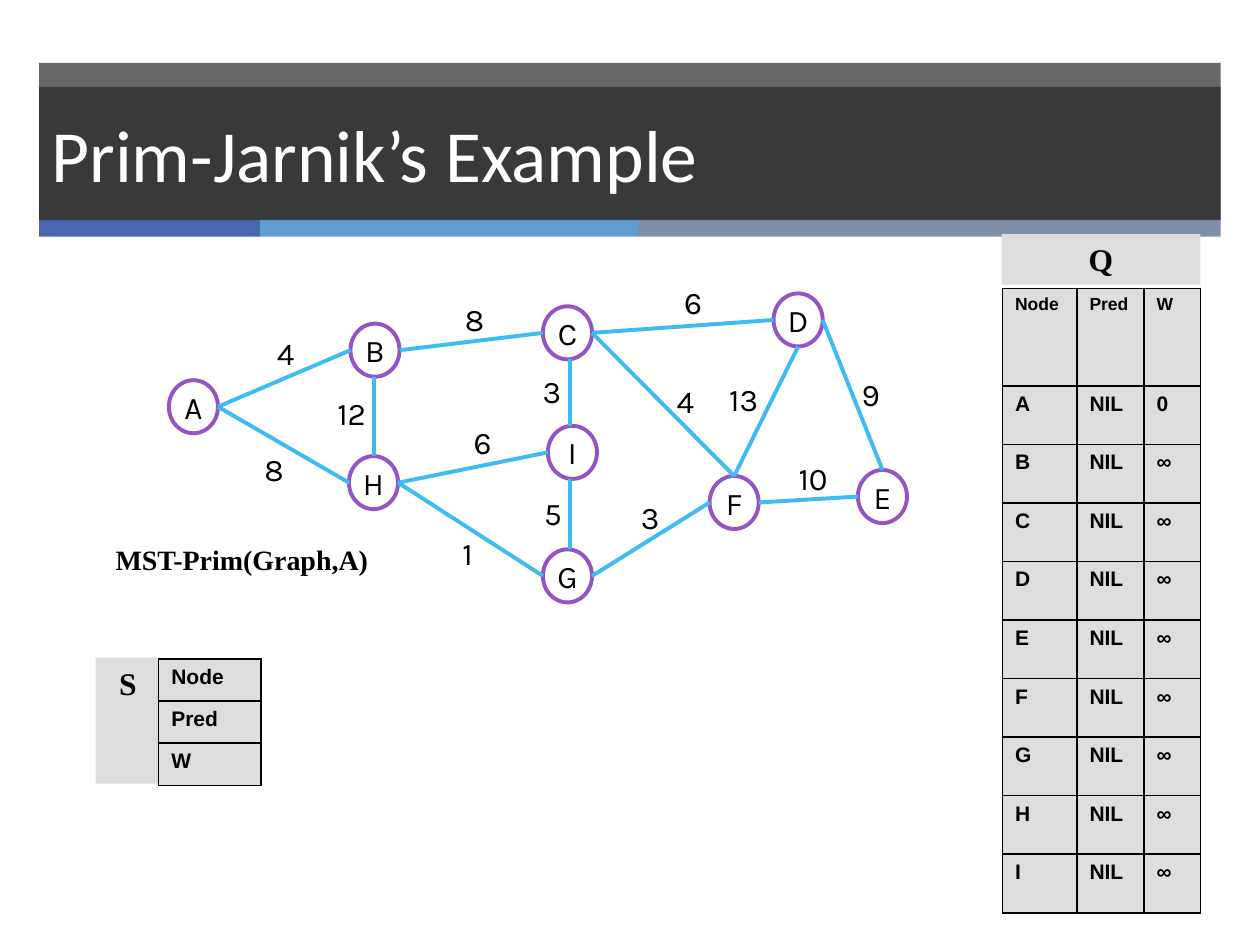
from lxml.etree import SubElement
from pptx import Presentation
from pptx.dml.color import RGBColor
from pptx.enum.shapes import MSO_CONNECTOR as CONN, MSO_SHAPE as SHAPE
from pptx.enum.text import MSO_ANCHOR as ANCHOR, PP_ALIGN as ALIGN
from pptx.oxml.ns import qn
from pptx.util import Cm, Pt

TITLE = "Prim-Jarnik’s Example"
DARK, GREY, PURPLE, BLUE = "262626", "DDDDDD", "9454C3", "3EBBF0"
BLACK, WHITE = "000000", "FFFFFF"
SERIF = "Times New Roman"

STRIPES = [("4A66AC", 4.45), ("629DD1", 7.62), ("7F8FA9", 11.75)]  # colour, width

NODE_W, NODE_H = 0.99, 1.07
NODES = {  # centres in cm
    "A": (3.90, 8.20), "B": (7.56, 7.06), "C": (11.44, 6.71),
    "D": (16.09, 6.45), "E": (17.79, 10.01), "F": (14.80, 10.13),
    "G": (11.44, 11.61), "H": (7.53, 9.73), "I": (11.54, 9.12),
}
SIDES = {"top": (0, -0.5), "left": (-0.5, 0), "bottom": (0, 0.5), "right": (0.5, 0)}
EDGES = [  # node, side, node, side, weight, left and top of the weight
    ("A", "right", "B", "left", "4", 5.33, 6.60),
    ("A", "right", "H", "left", "8", 5.08, 8.94),
    ("B", "bottom", "H", "top", "12", 6.55, 7.82),
    ("B", "right", "C", "left", "8", 9.12, 5.92),
    ("C", "bottom", "I", "top", "3", 10.69, 7.37),
    ("C", "right", "D", "left", "6", 13.54, 5.59),
    ("C", "right", "F", "top", "4", 13.39, 7.57),
    ("D", "bottom", "F", "top", "13", 14.45, 7.54),
    ("D", "right", "E", "top", "9", 17.12, 7.44),
    ("F", "right", "E", "left", "10", 15.85, 9.12),
    ("G", "right", "F", "left", "3", 12.67, 9.91),
    ("H", "right", "G", "left", "1", 9.07, 10.64),
    ("H", "right", "I", "left", "6", 9.30, 8.41),
    ("I", "bottom", "G", "top", "5", 10.72, 9.83),
]
HEADINGS = ["Node", "Pred", "W"]
QUEUE = [HEADINGS] + [[n, "NIL", "0" if n == "A" else "∞"] for n in NODES]
VISITED = [[h] for h in HEADINGS]


def rgb(hex_color):
    return RGBColor.from_string(hex_color)


def write(tf, text, size, font, color=BLACK, bold=False, align=ALIGN.LEFT):
    tf.text = text
    p = tf.paragraphs[0]
    p.alignment = align
    f = p.runs[0].font
    f.size, f.name, f.bold = Pt(size), font, bold
    f.color.rgb = rgb(color)


def add_shape(kind, x, y, w, h, fill=None, line=None, alpha=None):
    """Add a preset shape; alpha is the fill's opacity in percent."""
    sp = slide.shapes.add_shape(kind, Cm(x), Cm(y), Cm(w), Cm(h))
    sp.shadow.inherit = False
    if fill:
        sp.fill.solid()
        sp.fill.fore_color.rgb = rgb(fill)
    else:
        sp.fill.background()
    if alpha:
        clr = sp.fill._xPr.find(".//" + qn("a:srgbClr"))
        SubElement(clr, qn("a:alpha"), val=str(alpha * 1000))
    if line:
        sp.line.color.rgb = rgb(line)
        sp.line.width = Pt(2.25)
    else:
        sp.line.fill.background()
    sp.text_frame.vertical_anchor = ANCHOR.TOP
    return sp


def add_label(text, x, y, w, h, size, font, bold=False):
    tf = slide.shapes.add_textbox(Cm(x), Cm(y), Cm(w), Cm(h)).text_frame
    tf.word_wrap = False
    write(tf, text, size, font, bold=bold)


def add_node(name, cx, cy):
    sp = add_shape(SHAPE.OVAL, cx - NODE_W / 2, cy - NODE_H / 2, NODE_W, NODE_H, line=PURPLE)
    tf = sp.text_frame
    tf.margin_left = tf.margin_right = tf.margin_top = tf.margin_bottom = 0
    tf.word_wrap = False
    tf.vertical_anchor = ANCHOR.MIDDLE
    write(tf, name, 18, "Karla", align=ALIGN.CENTER)


def side_point(name, side):
    (cx, cy), (dx, dy) = NODES[name], SIDES[side]
    return cx + dx * NODE_W, cy + dy * NODE_H


def add_edge(start, start_side, end, end_side):
    x1, y1 = side_point(start, start_side)
    x2, y2 = side_point(end, end_side)
    if abs(x1 - x2) < 0.2:  # nearly vertical edges are drawn upright
        x1 = x2 = (x1 + x2) / 2
    line = slide.shapes.add_connector(CONN.STRAIGHT, Cm(x1), Cm(y1), Cm(x2), Cm(y2))
    line.line.color.rgb = rgb(BLUE)
    line.line.width = Pt(2.25)
    SubElement(line._element.spPr, qn("a:effectLst"))


def add_borders(cell):
    tcPr = cell._tc.get_or_add_tcPr()
    for i, tag in enumerate(("a:lnL", "a:lnR", "a:lnT", "a:lnB")):
        ln = tcPr.makeelement(qn(tag), {"w": str(Pt(1))})
        fill = SubElement(ln, qn("a:solidFill"))
        SubElement(fill, qn("a:srgbClr"), val=BLACK)
        tcPr.insert(i, ln)


def add_table(rows, x, y, widths, heights, head_size):
    frame = slide.shapes.add_table(len(rows), len(widths), Cm(x), Cm(y),
                                   Cm(sum(widths)), Cm(sum(heights)))
    table = frame.table
    table.first_row = table.horz_banding = False
    for col, w in zip(table.columns, widths):
        col.width = Cm(w)
    for r, (values, h) in enumerate(zip(rows, heights)):
        table.rows[r].height = Cm(h)
        for c, value in enumerate(values):
            cell = table.cell(r, c)
            cell.fill.solid()
            cell.fill.fore_color.rgb = rgb(GREY)
            write(cell.text_frame, value, 12 if r else head_size, "Arial", bold=True)
            add_borders(cell)


prs = Presentation()
prs.slide_width, prs.slide_height = Cm(25.4), Cm(19.05)
slide = prs.slides.add_slide(prs.slide_layouts[6])

# Title band
add_shape(SHAPE.RECTANGLE, 0.79, 1.27, 23.82, 3.15, DARK, alpha=70)
x = 0.79
for color, width in STRIPES:
    add_shape(SHAPE.RECTANGLE, x, 4.42, width, 0.35, color)
    x += width
title = add_shape(SHAPE.RECTANGLE, 0.79, 1.75, 23.82, 2.69, DARK, alpha=70)
title.text_frame.vertical_anchor = ANCHOR.MIDDLE
write(title.text_frame, TITLE, 42, "Calibri", WHITE)

# Graph
for name, (cx, cy) in NODES.items():
    add_node(name, cx, cy)
for *ends, weight, left, top in EDGES:
    add_edge(*ends)
    add_label(weight, left, top, 0.5 + 0.36 * len(weight), 1.02, 18, "Karla")
add_label("MST-Prim(Graph,A)", 2.08, 10.82, 5.66, 0.94, 16, SERIF, bold=True)

# Queue Q and visited set S
for name, box in (("S", (1.93, 13.26, 1.30, 2.54)), ("Q", (20.19, 4.72, 4.01, 1.02))):
    sp = add_shape(SHAPE.RECTANGLE, *box, fill=GREY)
    write(sp.text_frame, name, 18, SERIF, bold=True, align=ALIGN.CENTER)
add_table(QUEUE, 20.21, 5.82, [1.50, 1.35, 1.14], [1.96] + [1.18] * len(NODES), 10)
add_table(VISITED, 3.20, 13.28, [2.06], [0.85] * len(VISITED), 12)

prs.save("out.pptx")
